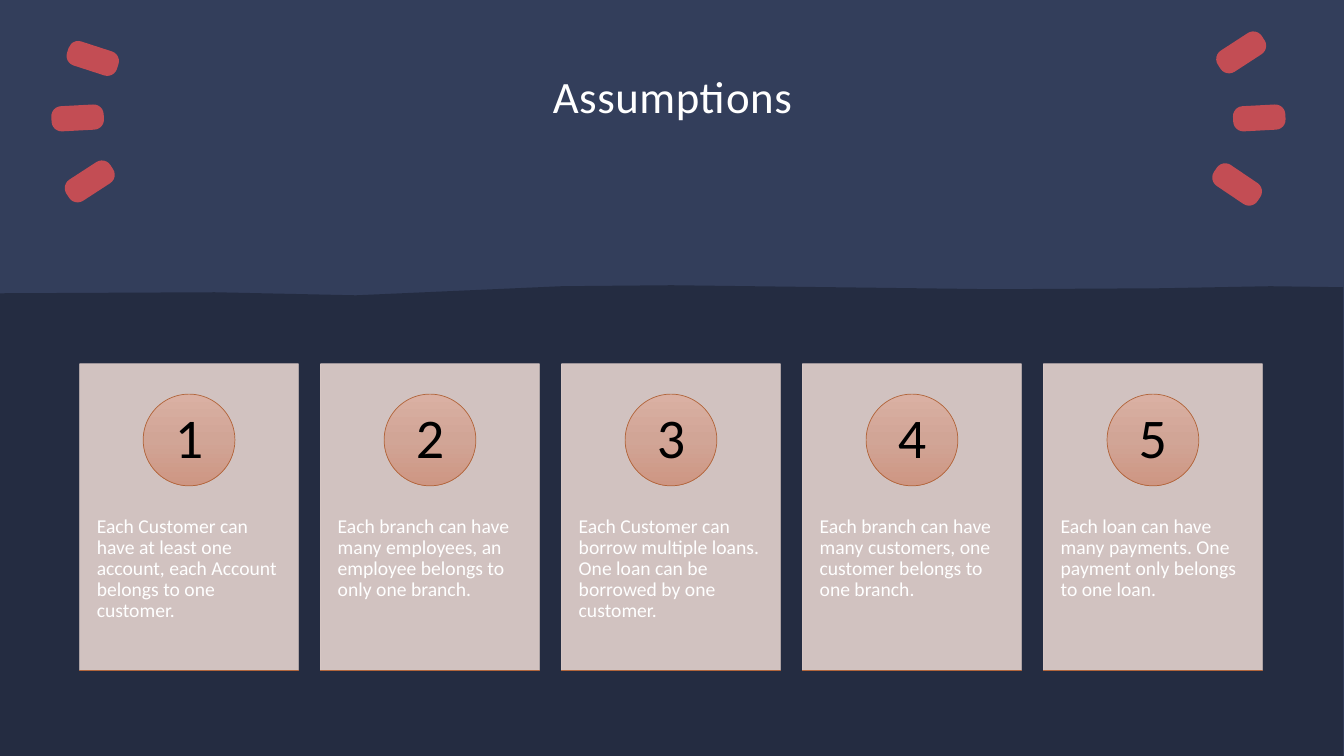
import copy
from dataclasses import dataclass
from typing import Any

import pptx
import pptx.dml.color
import pptx.enum.shapes
import pptx.enum.text
import pptx.oxml.ns
import pptx.util

# The slide is a grid of square cells
COLUMNS, ROWS = 1333, 750
CELL = pptx.util.Inches(13.33) // COLUMNS
SHAPE = pptx.enum.shapes.MSO_SHAPE
ALIGN = pptx.enum.text.PP_ALIGN
ANCHOR = pptx.enum.text.MSO_ANCHOR

NAVY, SLATE, RED, WHITE, BLACK = "242C41", "333E5B", "C34D54", "FFFFFF", "000000"
CARD_FILL, COPPER = "E4D3CE", "B1653B"
COPPER_STOPS = ((0, "DAB0A3"), (0.5, "D1A596"), (1, "CE9683"))


@dataclass
class Box:
    left: float
    top: float
    width: float
    height: float

    def emu(self) -> list[int]:
        return [round(v * CELL) for v in (self.left, self.top, self.width, self.height)]


@dataclass
class TextStyle:
    size: int
    color: str
    inset: tuple[int, int]
    align: Any
    anchor: Any


@dataclass
class Dash:
    center_x: int
    center_y: int
    angle: int


BODY = TextStyle(14, WHITE, (17, 36), ALIGN.LEFT, ANCHOR.TOP)
NUMBER = TextStyle(40, BLACK, (7, 1), ALIGN.CENTER, ANCHOR.MIDDLE)

DASH_LENGTH, DASH_THICKNESS = 52, 25
LEFT_DASHES = [Dash(92, 58, 18), Dash(77, 117, -3), Dash(89, 180, -33)]
RIGHT_DASHES = [Dash(1231, 52, -33), Dash(1249, 117, -3), Dash(1227, 183, 34)]
WAVE = [(0, 291), (213, 290), (353, 293), (557, 284), (666, 283), (987, 287),
        (1153, 286), (1260, 284), (1332, 285), (1332, ROWS), (0, ROWS)]

ASSUMPTIONS = [
    "Each Customer can have at least one account, each Account belongs to one customer.",
    "Each branch can have many employees, an employee belongs to only one branch.",
    "Each Customer can borrow multiple loans. One loan can be borrowed by one customer.",
    "Each branch can have many customers, one customer belongs to one branch.",
    "Each loan can have many payments. One payment only belongs to one loan.",
]
CARD_LEFT, CARD_TOP, CARD_WIDTH, CARD_HEIGHT, CARD_PITCH = 79, 361, 217, 304, 239
CIRCLE, NUMBER_BOX = 91, 64


def rgb(color: str) -> pptx.dml.color.RGBColor:
    return pptx.dml.color.RGBColor.from_string(color)


def set_alpha(parent: Any, percent: int) -> None:
    clr = parent.find(".//" + pptx.oxml.ns.qn("a:srgbClr"))
    clr.append(clr.makeelement(pptx.oxml.ns.qn("a:alpha"), {"val": str(percent * 1000)}))


def paint(sp: Any, fill: str, line: str = "") -> None:
    sp.shadow.inherit = False
    sp.fill.solid()
    sp.fill.fore_color.rgb = rgb(fill)
    if line:
        sp.line.color.rgb = rgb(line)
        sp.line.width = pptx.util.Pt(0.5)
    else:
        sp.line.fill.background()


def paint_copper(sp: Any) -> None:
    paint(sp, COPPER, COPPER)
    sp.fill.gradient()
    sp.fill.gradient_angle = 270
    stops = sp._element.spPr.find(".//" + pptx.oxml.ns.qn("a:gsLst"))
    stops.insert(1, copy.deepcopy(stops[0]))
    for stop, (position, color) in zip(sp.fill.gradient_stops, COPPER_STOPS):
        stop.position = position
        stop.color.rgb = rgb(color)


def add_dashes(shapes: Any, dashes: list[Dash]) -> None:
    for dash in dashes:
        box = Box(dash.center_x - DASH_LENGTH / 2, dash.center_y - DASH_THICKNESS / 2,
                  DASH_LENGTH, DASH_THICKNESS)
        sp = shapes.add_shape(SHAPE.ROUNDED_RECTANGLE, *box.emu())
        sp.adjustments[0] = 0.4
        sp.rotation = dash.angle
        paint(sp, RED)


def add_wave(shapes: Any) -> None:
    builder = shapes.build_freeform(*WAVE[0], scale=float(CELL))
    builder.add_line_segments(WAVE[1:], close=True)
    paint(builder.convert_to_shape(), NAVY)


def add_text(shapes: Any, box: Box, text: str, style: TextStyle) -> None:
    tf = shapes.add_textbox(*box.emu()).text_frame
    tf.word_wrap = True
    tf.vertical_anchor = style.anchor
    tf.margin_left = tf.margin_right = style.inset[0] * CELL
    tf.margin_top = tf.margin_bottom = style.inset[1] * CELL
    p = tf.paragraphs[0]
    p.text = text
    p.alignment, p.line_spacing = style.align, 0.9
    p.font.name, p.font.size = "Calibri", pptx.util.Pt(style.size)
    p.font.color.rgb = rgb(style.color)


def add_card(shapes: Any, index: int, text: str) -> None:
    left = CARD_LEFT + index * CARD_PITCH
    card = Box(left, CARD_TOP, CARD_WIDTH, CARD_HEIGHT)
    sp = shapes.add_shape(SHAPE.RECTANGLE, *card.emu())
    paint(sp, CARD_FILL, CARD_FILL)
    for tag in ("a:solidFill", "a:ln"):
        set_alpha(sp._element.spPr.find(pptx.oxml.ns.qn(tag)), 90)
    add_text(shapes, Box(left, CARD_TOP + 115, CARD_WIDTH, 182), text, BODY)
    # Numbered circle
    circle = Box(left + (CARD_WIDTH - CIRCLE) / 2, CARD_TOP + 30, CIRCLE, CIRCLE)
    paint_copper(shapes.add_shape(SHAPE.OVAL, *circle.emu()))
    number = Box(left + (CARD_WIDTH - NUMBER_BOX) / 2, CARD_TOP + 44, NUMBER_BOX, NUMBER_BOX)
    add_text(shapes, number, str(index + 1), NUMBER)
    # Bottom edge
    edge = Box(left, CARD_TOP + CARD_HEIGHT, CARD_WIDTH, 0)
    paint_copper(shapes.add_shape(SHAPE.RECTANGLE, *edge.emu()))


def add_title(slide: Any, text: str) -> None:
    title = slide.shapes.title
    title.left, title.top, title.width, title.height = Box(184, 68, 966, 75).emu()
    tf = title.text_frame
    tf.margin_left = tf.margin_right = tf.margin_top = tf.margin_bottom = 0
    tf.word_wrap, tf.vertical_anchor = True, ANCHOR.TOP
    tf.auto_size = pptx.enum.text.MSO_AUTO_SIZE.NONE
    p = tf.paragraphs[0]
    r = p.add_run()
    r.text, p.alignment = text, ALIGN.CENTER
    p.font.name, p.font.size = "Calibri", pptx.util.Pt(32)
    p.font.color.rgb = rgb(WHITE)
    r.font._element.set("spc", "40")


def main() -> None:
    prs = pptx.Presentation()
    prs.slide_width, prs.slide_height = COLUMNS * CELL, ROWS * CELL
    slide = prs.slides.add_slide(prs.slide_layouts[5])
    slide.background.fill.solid()
    slide.background.fill.fore_color.rgb = rgb(NAVY)
    # Backdrop behind the title
    backdrop = slide.shapes.add_shape(SHAPE.RECTANGLE, *Box(0, 0, COLUMNS, ROWS).emu())
    paint(backdrop, SLATE)
    slide.shapes.title._element.addprevious(backdrop._element)
    add_title(slide, "Assumptions")
    # Dashes on both sides and the wave
    for dashes in (LEFT_DASHES, RIGHT_DASHES):
        add_dashes(slide.shapes.add_group_shape().shapes, dashes)
    add_wave(slide.shapes)
    # Numbered cards
    cards = slide.shapes.add_group_shape()
    for index, text in enumerate(ASSUMPTIONS):
        add_card(cards.shapes, index, text)
    prs.save("out.pptx")


if __name__ == "__main__":
    main()
